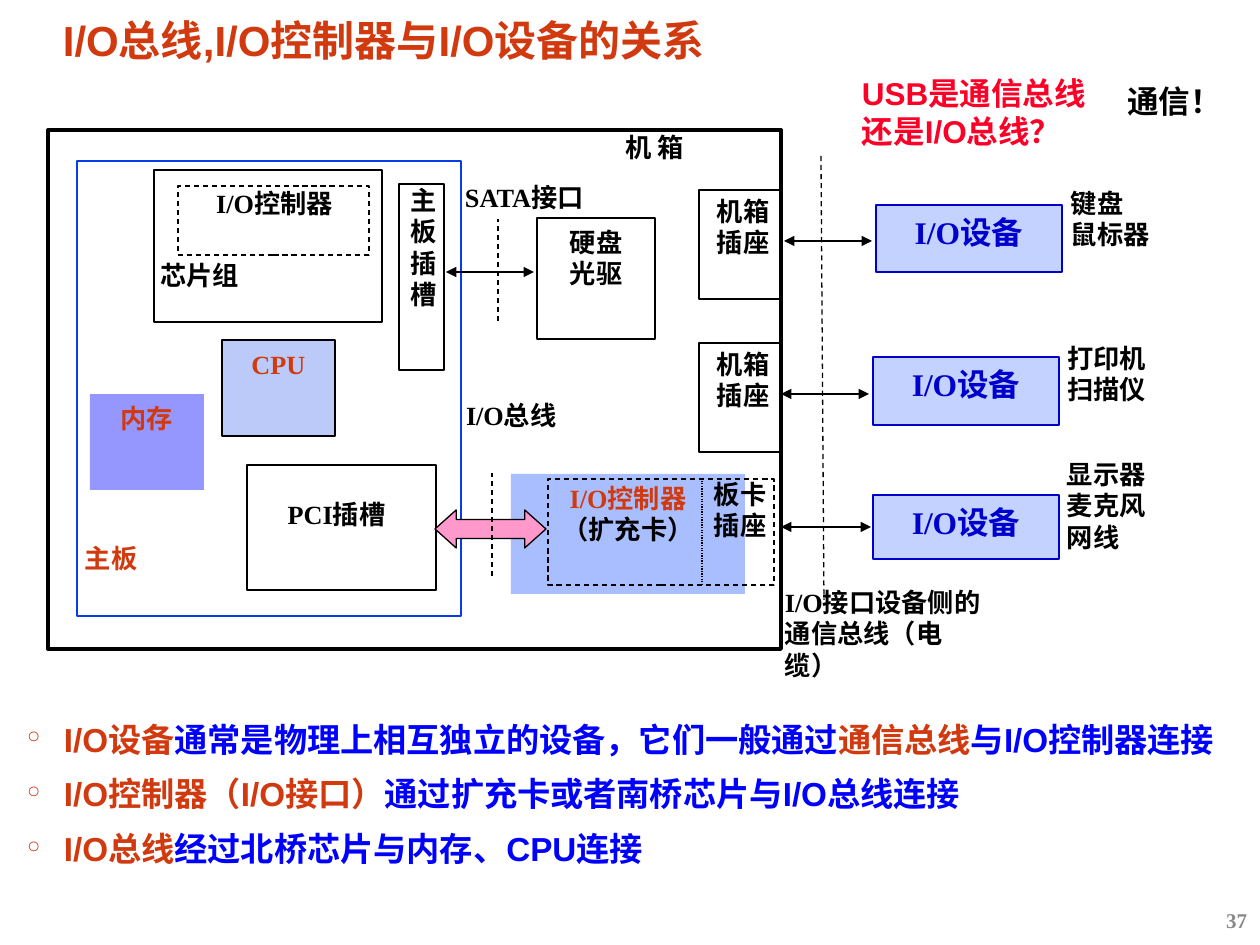
"""Builds the slide on I/O buses, I/O controllers and I/O devices."""
from dataclasses import dataclass

from lxml import etree
from pptx import Presentation, util as u
from pptx.dml.color import RGBColor
from pptx.enum import dml, shapes, text
from pptx.oxml.ns import qn


@dataclass(frozen=True)
class Theme:
    sans: str = "Arial"
    serif: str = "Times New Roman"
    black: str = "000000"
    white: str = "FFFFFF"
    rust: str = "D1390F"
    red: str = "FC0128"
    blue: str = "0000FF"
    navy: str = "0000CC"
    royal: str = "063DE8"
    sky: str = "3366FF"
    pink: str = "FF99CC"
    gray: str = "898989"
    title: int = 24
    body: int = 19
    device: int = 18
    label: int = 15
    number: int = 12


theme = Theme()
PX = 914400 / 126
LEFT, CENTER, RIGHT = text.PP_ALIGN.LEFT, text.PP_ALIGN.CENTER, text.PP_ALIGN.RIGHT
DASH, DOT = dml.MSO_LINE.DASH, dml.MSO_LINE.ROUND_DOT
WIDE, TIGHT, PLAIN = (16, 8), (9, 4), (13, 6)


def px(*lengths):
    return [u.Emu(round(length * PX)) for length in lengths]


def write(box, paragraphs, size, align=LEFT, font=theme.serif, inset=WIDE):
    frame = box.text_frame
    frame.word_wrap = True
    frame.vertical_anchor = text.MSO_ANCHOR.TOP
    frame.margin_left, frame.margin_top = px(*inset)
    frame.margin_right, frame.margin_bottom = px(*inset)
    for index, runs in enumerate(paragraphs):
        para = frame.paragraphs[0] if index == 0 else frame.add_paragraph()
        para.alignment = align
        for words, color in runs:
            span = para.add_run()
            span.text = words
            span.font.size = u.Pt(size)
            span.font.name = font
            span.font.bold = True
            span.font.color.rgb = RGBColor.from_string(color)
    return frame


deck = Presentation()
deck.slide_width, deck.slide_height = px(1260, 945)
page = deck.slides.add_slide(deck.slide_layouts[6])

title = page.shapes.add_textbox(*px(54, 20, 1120, 48))
frame = write(title, [[("I/O总线,I/O控制器与I/O设备的关系", theme.rust)]],
              theme.title, font=theme.sans, inset=TIGHT)
frame.paragraphs[0].line_spacing = 0.8

points = [
    [("I/O设备", theme.rust), ("通常是物理上相互独立的设备，它们一般通过", theme.blue),
     ("通信总线", theme.rust), ("与I/O控制器连接", theme.blue)],
    [("I/O控制器（I/O接口）", theme.rust), ("通过扩充卡或者南桥芯片与I/O总线连接", theme.blue)],
    [("I/O总线", theme.rust), ("经过北桥芯片与内存、CPU连接", theme.blue)],
]
body = page.shapes.add_textbox(*px(18, 707, 1222, 169))
frame = write(body, points, theme.body, font=theme.sans, inset=TIGHT)
for index, para in enumerate(frame.paragraphs):
    para.line_spacing = 1.2
    if index:
        para.space_before = u.Pt(4)
    properties = para._p.get_or_add_pPr()
    indent = px(37)[0]
    properties.set("marL", str(indent))
    properties.set("indent", str(-indent))
    etree.SubElement(properties, qn("a:buChar")).set("char", "°")

device = (theme.sky, 29, theme.navy, 1.5, None, [[("I/O设备", theme.navy)]], theme.device)
outline = (None, None, theme.black, 0.75, None, [], theme.label)
dashed = (None, None, theme.black, 0.75, DASH, [], theme.label)
blocks = [
    (48, 130, 733, 519, None, None, theme.black, 2.25, None, [], theme.label),
    (77, 161, 384, 455, None, None, theme.royal, 1.5, None, [], theme.label),
    (537, 218, 118, 121, theme.white, 100, theme.black, 0.75, None,
     [[("硬盘", theme.black)], [("光驱", theme.black)]], theme.label),
    (222, 340, 113, 96, theme.royal, 27, theme.black, 0.75, None,
     [[("CPU", theme.rust)]], theme.label),
    (90, 394, 114, 96, theme.blue, 41, None, 0, None,
     [[("内存", theme.rust)]], theme.label),
    (511, 474, 234, 120, theme.sky, 42, None, 0, None,
     [[("I/O控制器", theme.rust)], [("（扩充卡）", theme.black)]], theme.label),
    (154, 170, 228, 152, *outline),
    (399, 184, 45, 186, *outline),
    (699, 190, 82, 109, *outline),
    (699, 343, 82, 109, *outline),
    (247, 465, 189, 125, *outline),
    (178, 186, 191, 69, *dashed),
    (548, 479, 226, 106, *dashed),
    (876, 205, 186, 67, *device),
    (873, 357, 186, 68, *device),
    (873, 495, 186, 64, *device),
]
for x, y, w, h, fill, alpha, line, width, dash, words, size in blocks:
    block = page.shapes.add_shape(shapes.MSO_SHAPE.RECTANGLE, *px(x, y, w, h))
    block.shadow.inherit = False
    if fill:
        block.fill.solid()
        block.fill.fore_color.rgb = RGBColor.from_string(fill)
        color = block._element.spPr.find(qn("a:solidFill"))[0]
        etree.SubElement(color, qn("a:alpha")).set("val", str(alpha * 1000))
    else:
        block.fill.background()
    if line:
        block.line.color.rgb = RGBColor.from_string(line)
        block.line.width = u.Pt(width)
        block.line.dash_style = dash
    else:
        block.line.fill.background()
    if words:
        write(block, words, size, CENTER)

bus = page.shapes.add_shape(shapes.MSO_SHAPE.LEFT_RIGHT_ARROW, *px(435, 510, 111, 38))
bus.shadow.inherit = False
bus.adjustments[0], bus.adjustments[1] = 0.5, 0.56
bus.fill.solid()
bus.fill.fore_color.rgb = RGBColor.from_string(theme.pink)
bus.line.color.rgb = RGBColor.from_string(theme.black)
bus.line.width = u.Pt(0.75)

labels = [
    (1051, 334, 169, 125, LEFT, theme.black, ["打印机", "扫描仪"]),
    (1051, 450, 165, 158, LEFT, theme.black, ["显示器", "麦克风", "网线"]),
    (1055, 179, 165, 137, LEFT, theme.black, ["键盘", "鼠标器"]),
    (450, 391, 169, 87, LEFT, theme.black, ["I/O总线"]),
    (769, 578, 228, 131, LEFT, theme.black, ["I/O接口设备侧的通信总线（电缆）"]),
    (69, 534, 125, 91, LEFT, theme.rust, ["主板"]),
    (683, 187, 120, 120, CENTER, theme.black, ["机箱", "插座"]),
    (683, 340, 120, 120, CENTER, theme.black, ["机箱", "插座"]),
    (680, 470, 120, 120, CENTER, theme.black, ["板卡", "插座"]),
    (155, 179, 239, 82, CENTER, theme.black, ["I/O控制器"]),
    (220, 490, 233, 111, CENTER, theme.black, ["PCI插槽"]),
    (384, 176, 79, 205, CENTER, theme.black, ["主板插槽"]),
    (609, 123, 134, 84, LEFT, theme.black, ["机 箱"]),
    (144, 251, 159, 97, LEFT, theme.black, ["芯片组"]),
    (449, 173, 175, 50, LEFT, theme.black, ["SATA接口"]),
]
for x, y, w, h, align, color, rows in labels:
    label = page.shapes.add_textbox(*px(x, y, w, h))
    write(label, [[(row, color)] for row in rows], theme.label, align)

links = [
    (446, 272, 534, 272, 1, None),
    (784, 241, 872, 241, 1, None),
    (781, 394, 869, 394, 1, None),
    (781, 527, 871, 527, 1, None),
    (702, 478, 702, 585, 0.75, DOT),
    (821, 156, 824, 600, 0.75, DASH),
    (492, 576, 492, 473, 0.75, DASH),
    (498, 321, 498, 219, 0.75, DASH),
]
for x1, y1, x2, y2, width, dash in links:
    link = page.shapes.add_connector(shapes.MSO_CONNECTOR.STRAIGHT, *px(x1, y1, x2, y2))
    link.line.color.rgb = RGBColor.from_string(theme.black)
    link.line.width = u.Pt(width)
    link.line.dash_style = dash
    if not dash:
        for end in ("a:headEnd", "a:tailEnd"):
            etree.SubElement(link.line._get_or_add_ln(), qn(end)).set("type", "triangle")
    etree.SubElement(link._element.spPr, qn("a:effectLst"))

question = page.shapes.add_textbox(*px(849, 68, 265, 90))
write(question, [[("USB是通信总线还是I/O总线？", theme.red)]], theme.device,
      font=theme.sans, inset=PLAIN)
answer = page.shapes.add_textbox(*px(1114, 76, 142, 50))
write(answer, [[("通信！", theme.black)]], theme.device, inset=PLAIN)
number = page.shapes.add_textbox(*px(977, 895, 283, 50))
frame = write(number, [[("37", theme.gray)]], theme.number, RIGHT, inset=PLAIN)
frame.vertical_anchor = text.MSO_ANCHOR.MIDDLE

deck.save("out.pptx")
